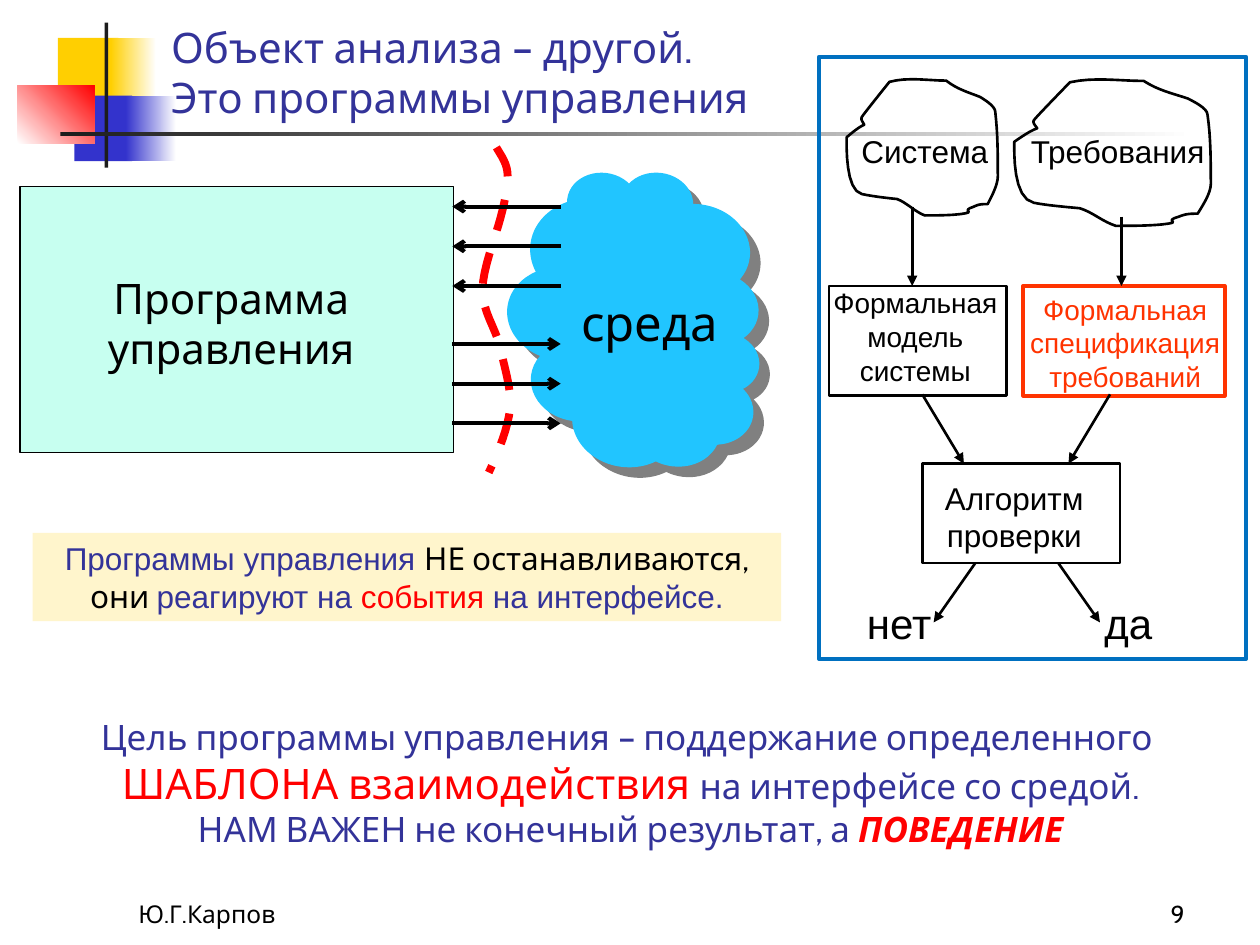
from dataclasses import dataclass
from typing import Any, NamedTuple

import pptx
import pptx.dml.color
import pptx.enum.dml
import pptx.enum.shapes
import pptx.enum.text
import pptx.oxml
import pptx.oxml.ns
import pptx.util
from lxml import etree

Inches = pptx.util.Inches
RGBColor = pptx.dml.color.RGBColor
KINDS = pptx.enum.shapes.MSO_SHAPE
ALIGN = pptx.enum.text.PP_ALIGN
ANCHOR = pptx.enum.text.MSO_ANCHOR
qn = pptx.oxml.ns.qn

BLACK = RGBColor(0x00, 0x00, 0x00)
WHITE = RGBColor(0xFF, 0xFF, 0xFF)
INK = RGBColor(0x1C, 0x1C, 0x1C)
GOLD = RGBColor(0xFF, 0xCF, 0x01)
BLUE = RGBColor(0x33, 0x33, 0xCC)
NAVY = RGBColor(0x33, 0x33, 0x99)
RED = RGBColor(0xFF, 0x00, 0x00)
ORANGE = RGBColor(0xFF, 0x33, 0x00)
MINT = RGBColor(0xC7, 0xFF, 0xF0)
CREAM = RGBColor(0xFF, 0xF5, 0xCC)
FRAME = RGBColor(0x00, 0x70, 0xC0)
SKY = RGBColor(0x21, 0xC5, 0xFF)


class Area(NamedTuple):
    left: float
    top: float
    width: float
    height: float


class Run(NamedTuple):
    text: str
    size: int
    color: RGBColor = BLACK
    face: str = "Cabin"
    strong: bool = False


@dataclass
class Box:
    area: Area
    fill: RGBColor | None = None
    line: RGBColor | None = None
    width: float = 0.75
    fade: RGBColor | None = None
    angle: float = 0
    kind: Any = KINDS.RECTANGLE


@dataclass
class Note:
    area: Area
    paras: list[list[Run]]
    align: Any = ALIGN.CENTER
    anchor: Any = ANCHOR.TOP


@dataclass
class Arrow:
    start: tuple[float, float]
    end: tuple[float, float]
    width: float = 1.5
    head: str = "triangle"


BLOB = [
    (6.86, 0.99),
    (6.81, 1.01, 6.72, 1.09, 6.72, 1.09), (6.72, 1.16, 6.71, 1.51, 6.84, 1.54),
    (6.93, 1.56, 7.03, 1.57, 7.12, 1.58), (7.2, 1.61, 7.26, 1.68, 7.34, 1.71),
    (7.43, 1.71, 7.53, 1.71, 7.62, 1.7), (7.77, 1.68, 7.61, 1.68, 7.73, 1.64),
    (7.77, 1.62, 7.8, 1.62, 7.84, 1.62), (7.87, 1.56, 7.92, 1.47, 7.92, 1.4),
    (7.92, 1.23, 7.92, 1.06, 7.9, 0.89), (7.9, 0.84, 7.81, 0.79, 7.78, 0.77),
    (7.68, 0.73, 7.6, 0.71, 7.51, 0.64), (7.36, 0.64, 7.21, 0.61, 7.06, 0.65),
    (7.06, 0.65, 6.85, 0.91, 6.84, 0.93), (6.83, 0.95, 6.85, 0.97, 6.86, 0.99),
]
WAVE = [
    (3.94, 1.17),
    (3.98, 1.24, 4.03, 1.3, 4.03, 1.4), (4.04, 1.49, 3.97, 1.74, 3.97, 1.74),
    (3.93, 1.89, 3.83, 2.14, 3.83, 2.3), (3.83, 2.47, 3.93, 2.6, 3.97, 2.75),
    (4, 2.91, 4.06, 3.07, 4.05, 3.24), (4.03, 3.4, 3.96, 3.58, 3.88, 3.75),
]


def put(item: Any, values: dict[str, Any]) -> None:
    for name, value in values.items():
        setattr(item, name, value)


def stroke(line: Any, color: RGBColor, width: float) -> None:
    line.color.rgb = color
    line.width = pptx.util.Pt(width)


def draw_box(slide: Any, box: Box) -> Any:
    shape = slide.shapes.add_shape(box.kind, *map(Inches, box.area))
    shape.shadow.inherit = False
    if box.fade is not None:
        shape.fill.gradient()
        shape.fill.gradient_angle = box.angle
        for stop, color in zip(shape.fill.gradient_stops, (box.fill, box.fade)):
            stop.color.rgb = color
    elif box.fill is not None:
        shape.fill.solid()
        shape.fill.fore_color.rgb = box.fill
    else:
        shape.fill.background()
    if box.line is not None:
        stroke(shape.line, box.line, box.width)
    else:
        shape.line.fill.background()
    return shape


def draw_note(slide: Any, note: Note) -> None:
    frame = slide.shapes.add_textbox(*map(Inches, note.area)).text_frame
    put(frame, {"word_wrap": True, "vertical_anchor": note.anchor})
    for index, runs in enumerate(note.paras):
        para = frame.add_paragraph() if index else frame.paragraphs[0]
        para.alignment = note.align
        for item in runs:
            for row, text in enumerate(item.text.split("\n")):
                if row:
                    para.add_line_break()
                if text:
                    run = para.add_run()
                    run.text = text
                    put(run.font, {"size": pptx.util.Pt(item.size), "name": item.face,
                                   "bold": item.strong, "italic": item.strong})
                    run.font.color.rgb = item.color


def draw_arrow(slide: Any, arrow: Arrow) -> None:
    ends = map(Inches, (*arrow.start, *arrow.end))
    link = slide.shapes.add_connector(pptx.enum.shapes.MSO_CONNECTOR.STRAIGHT, *ends)
    stroke(link.line, BLACK, arrow.width)
    props = link.element.spPr
    etree.SubElement(props.find(qn("a:ln")), qn("a:tailEnd"), type=arrow.head)
    etree.SubElement(props, qn("a:effectLst"))


def draw_curve(slide: Any, curve: list[tuple], color: RGBColor, width: float,
               closed: bool = False) -> Any:
    last = curve[0]
    pen = slide.shapes.build_freeform(*map(Inches, last))
    dots = []
    for ax, ay, bx, by, cx, cy in curve[1:]:
        for step in range(1, 9):
            t = step / 8
            u = 1 - t
            dots.append(tuple(
                Inches(u**3 * p + 3 * u * u * t * a + 3 * u * t * t * b + t**3 * c)
                for p, a, b, c in ((last[0], ax, bx, cx), (last[1], ay, by, cy))))
        last = (cx, cy)
    pen.add_line_segments(dots, close=closed)
    shape = pen.convert_to_shape()
    shape.shadow.inherit = False
    shape.fill.background()
    stroke(shape.line, color, width)
    return shape


def draw_cloud(slide: Any) -> None:
    cloud = draw_box(slide, Box(Area(3.88, 1.52, 2.34, 2.03), SKY, SKY, kind=KINDS.CLOUD))
    cloud.rotation = 96.9
    glow = etree.SubElement(cloud.element.spPr.find(qn("a:effectLst")), qn("a:outerShdw"),
                            dist=str(pptx.util.Pt(8.5)), dir="2700000", rotWithShape="0")
    etree.SubElement(glow, qn("a:srgbClr"), val="808080")


def label(area: Area, text: str, size: int, color: RGBColor = BLACK) -> Note:
    return Note(area, [[Run(text, size, color, "Arial")]])


def main() -> None:
    deck = pptx.Presentation()
    put(deck, {"slide_width": Inches(10), "slide_height": Inches(7.5)})
    slide = deck.slides.add_slide(deck.slide_layouts[6])
    for box in (
        Box(Area(0.46, 0.3, 0.48, 0.52), GOLD),
        Box(Area(0.88, 0.3, 0.36, 0.52), GOLD, fade=WHITE),
        Box(Area(0.59, 0.76, 0.46, 0.52), BLUE),
        Box(Area(1, 0.76, 0.4, 0.52), BLUE, fade=WHITE),
        Box(Area(0.14, 0.68, 0.61, 0.46), WHITE, fade=RED, angle=45),
        Box(Area(0.83, 0.18, 0.03, 1.15), INK),
        Box(Area(0.48, 1.05, 9, 0.03), INK, fade=WHITE),
        Box(Area(0.16, 1.48, 3.44, 2.11), MINT, BLACK),
        Box(Area(6.58, 2.27, 1.41, 0.87), line=BLACK, width=1.5),
        Box(Area(8.12, 2.27, 1.6, 0.87), line=ORANGE, width=2.25),
        Box(Area(7.32, 3.68, 1.57, 0.79), line=BLACK, width=1.5),
        Box(Area(6.5, 0.45, 3.39, 4.78), line=FRAME, width=2.25),
        Box(Area(0.26, 4.23, 5.94, 0.7), CREAM),
    ):
        draw_box(slide, box)
    draw_cloud(slide)
    for left, wide, tall in ((6.72, 1, 1), (8.05, 1.3, 1.075)):
        blob = [tuple(0.61 + (v - 0.61) * tall if i % 2 else left + (v - 6.72) * wide
                      for i, v in enumerate(part)) for part in BLOB]
        draw_curve(slide, blob, BLACK, 1.5, True)
    for note in (
        Note(Area(1.26, 0.22, 8.52, 0.8),
             [[Run("Объект анализа – другой.\nЭто программы управления", 24, NAVY)]],
             ALIGN.LEFT, ANCHOR.BOTTOM),
        Note(Area(1, 6.92, 2.08, 0.5), [[Run("Ю.Г.Карпов", 14)]], ALIGN.LEFT, ANCHOR.BOTTOM),
        Note(Area(7.42, 6.92, 2.08, 0.5), [[Run("9", 14)]], ALIGN.RIGHT, ANCHOR.BOTTOM),
        Note(Area(0.39, 2.11, 2.89, 0.9), [[Run("Программа управления", 24)]]),
        Note(Area(0.16, 5.63, 9.69, 1.17), [
            [Run("Цель программы управления – поддержание определенного \n", 20, NAVY),
             Run("ШАБЛОНА взаимодействия ", 24, RED),
             Run("на интерфейсе со средой.", 20, NAVY)],
            [Run("НАМ ВАЖЕН не конечный результат, а ", 20, NAVY),
             Run("ПОВЕДЕНИЕ", 20, RED, strong=True)]]),
        Note(Area(0.26, 4.23, 5.94, 0.7), [
            [Run("Программы управления ", 18, NAVY, "Arial"),
             Run("НЕ останавливаются, они ", 18),
             Run("реагируют на ", 18, NAVY, "Arial"),
             Run("события", 18, RED, "Arial"),
             Run(" на интерфейсе.", 18, NAVY, "Arial")]]),
        Note(Area(4.45, 2.27, 1.41, 0.57), [[Run("среда", 28)]]),
        label(Area(6.72, 1, 1.24, 0.4), "Система", 18),
        label(Area(8.05, 1, 1.64, 0.4), "Требования", 18),
        label(Area(6.48, 2.22, 1.57, 0.9), "Формальная модель системы", 16),
        label(Area(8.05, 2.27, 1.76, 0.9), "Формальная спецификация требований", 16, ORANGE),
        label(Area(7.27, 3.75, 1.56, 0.7), "Алгоритм проверки", 18),
        label(Area(6.64, 4.69, 0.99, 0.5), "нет", 24),
        label(Area(8.46, 4.69, 0.99, 0.5), "да", 24),
    ):
        draw_note(slide, note)
    for start, end in (
        ((7.24, 1.64), (7.24, 2.27)), ((8.9, 1.72), (8.9, 2.27)),
        ((7.32, 3.13), (7.65, 3.68)), ((8.81, 3.13), (8.48, 3.68)),
        ((7.74, 4.47), (7.41, 4.94)), ((8.4, 4.47), (8.73, 4.94)),
    ):
        draw_arrow(slide, Arrow(start, end))
    wave = draw_curve(slide, WAVE, RED, 4.5)
    wave.line.dash_style = pptx.enum.dml.MSO_LINE.DASH
    for top, tail, tip in ((1.64, 4.45, 3.59), (2.73, 3.59, 4.45)):
        for row in range(3):
            y = top + row * 0.315
            draw_arrow(slide, Arrow((tail, y), (tip, y), 2.25, "arrow"))
    deck.save("out.pptx")


if __name__ == "__main__":
    main()
